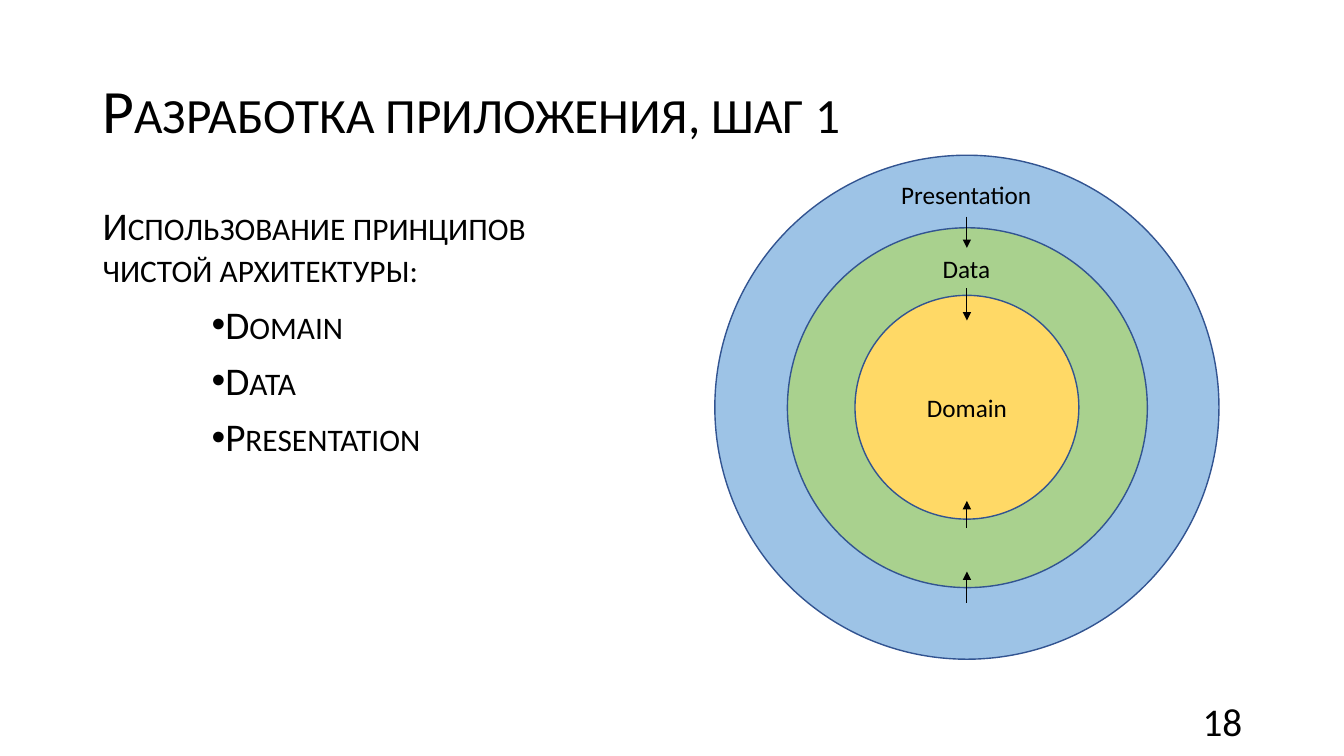
from lxml.etree import SubElement
from pptx import Presentation
from pptx.dml.color import RGBColor
from pptx.enum.shapes import MSO_CONNECTOR, MSO_SHAPE
from pptx.enum.text import MSO_ANCHOR, PP_ALIGN
from pptx.oxml.ns import qn
from pptx.util import Pt

PX = 9144  # EMU per px, 100 px to the inch
THEME = {
    "font": "Calibri",
    "ink": RGBColor.from_string("000000"),
    "edge": RGBColor.from_string("325491"),
    "blue": RGBColor.from_string("9DC3E6"),
    "green": RGBColor.from_string("A9D18E"),
    "gold": RGBColor.from_string("FFD966"),
    "title": Pt(44),
    "body": Pt(28),
    "label": Pt(18),
}


def write(shape, lines, size, align=PP_ALIGN.LEFT, anchor=MSO_ANCHOR.TOP, caps=False):
    """Fill a shape with one paragraph per line, in the theme's font."""
    frame = shape.text_frame
    frame.text = "\n".join(lines)
    frame.word_wrap = True
    frame.vertical_anchor = anchor
    for para in frame.paragraphs:
        para.alignment = align
        for run in para.runs:
            run.font.name = THEME["font"]
            run.font.size = size
            run.font.color.rgb = THEME["ink"]
            if caps:
                run.font._element.set("cap", "small")
    return frame


deck = Presentation()
deck.slide_width = 1333 * PX
deck.slide_height = 750 * PX
slide = deck.slides.add_slide(deck.slide_layouts[6])

# Title
title = slide.shapes.add_textbox(92 * PX, 40 * PX, 1150 * PX, 145 * PX)
frame = write(title, ["Разработка приложения, шаг 1"], THEME["title"],
              anchor=MSO_ANCHOR.MIDDLE, caps=True)
frame.paragraphs[0].line_spacing = 0.9

# Principles, with the layers as bullets
body = slide.shapes.add_textbox(92 * PX, 200 * PX, 505 * PX, 476 * PX)
frame = write(body, ["Использование принципов чистой архитектуры:",
                     "Domain", "Data", "Presentation"], THEME["body"], caps=True)
for rank, para in enumerate(frame.paragraphs):
    para.line_spacing = 0.9
    para.space_before = Pt(10)
    if rank > 0:
        props = para._p.get_or_add_pPr()
        props.set("marL", str(79 * PX))
        props.set("indent", str(29 * PX))
        SubElement(props, qn("a:buFont"), typeface="Arial")
        SubElement(props, qn("a:buChar"), char="•")

# Slide number
number = slide.shapes.add_textbox(942 * PX, 695 * PX, 300 * PX, 40 * PX)
write(number, ["18"], THEME["body"], PP_ALIGN.RIGHT, MSO_ANCHOR.MIDDLE)

# Concentric layers
MID_X, MID_Y = 959, 404
rings = slide.shapes.add_group_shape().shapes
for width, fill in ((500, "blue"), (357, "green"), (222, "gold")):
    ring = rings.add_shape(MSO_SHAPE.OVAL, (MID_X - width // 2) * PX,
                           (MID_Y - width // 2) * PX, width * PX, width * PX)
    ring.shadow.inherit = False
    ring.fill.solid()
    ring.fill.fore_color.rgb = THEME[fill]
    ring.line.color.rgb = THEME["edge"]
    ring.line.width = Pt(1)
write(ring, ["Domain"], THEME["label"], PP_ALIGN.CENTER, MSO_ANCHOR.MIDDLE)

for name, left, top, width in (("Data", 925, 246, 68), ("Presentation", 884, 173, 151)):
    label = rings.add_textbox(left * PX, top * PX, width * PX, 40 * PX)
    frame = write(label, [name], THEME["label"])
    frame.word_wrap = name != "Data"

# Dependencies point inwards
for start, end in ((598, 567), (524, 497), (215, 246), (286, 318)):
    arrow = rings.add_connector(MSO_CONNECTOR.STRAIGHT, MID_X * PX, start * PX,
                                MID_X * PX, end * PX)
    arrow.line.color.rgb = THEME["ink"]
    arrow.line.width = Pt(0.75)
    SubElement(arrow.line._get_or_add_ln(), qn("a:tailEnd"), type="triangle")
    SubElement(arrow._element.spPr, qn("a:effectLst"))

deck.save("out.pptx")
